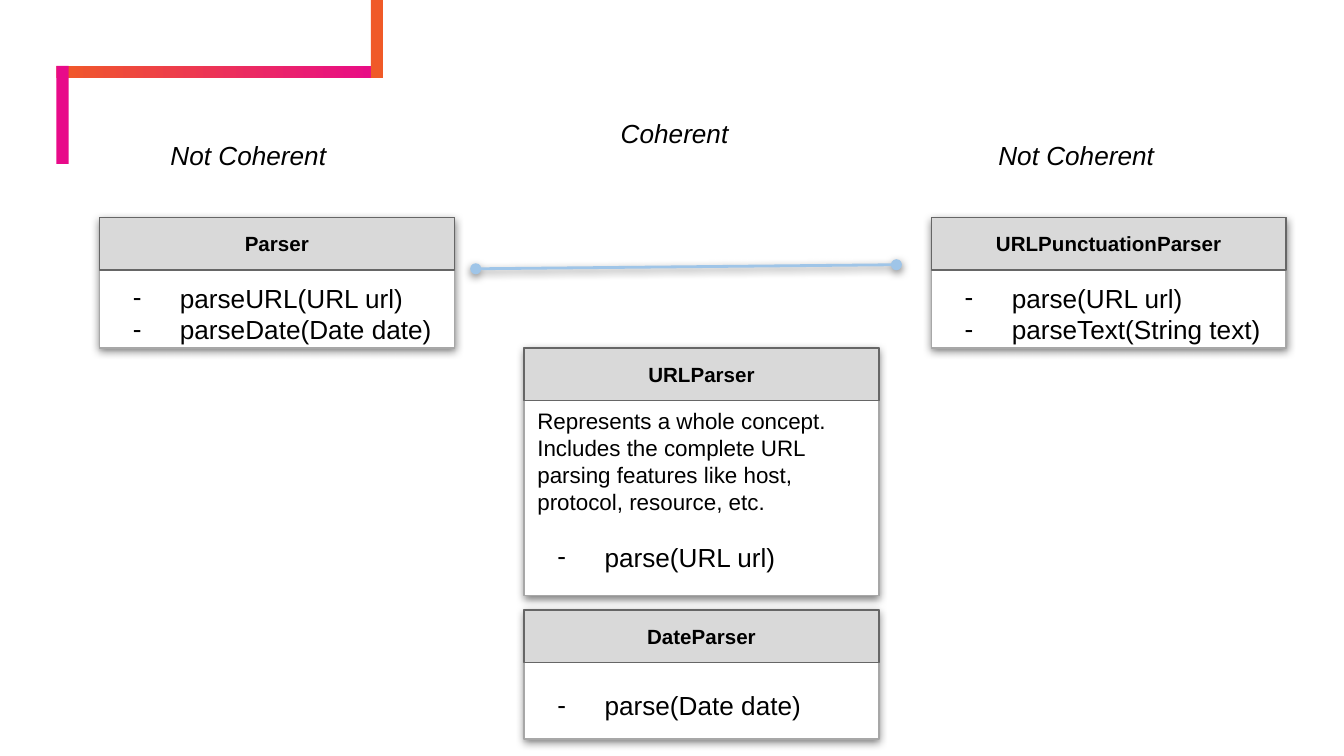
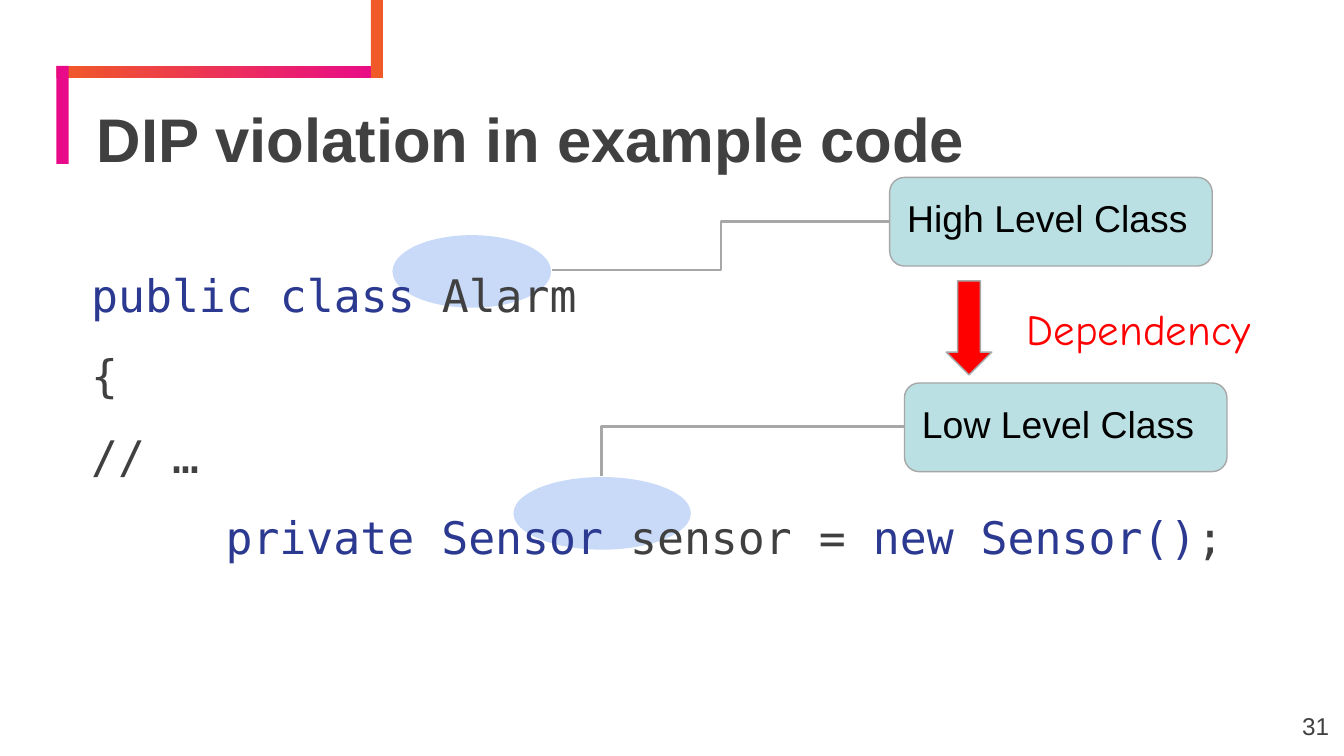
from lxml import etree
from pptx import Presentation
from pptx import util as u
from pptx.dml.color import RGBColor
from pptx.enum import shapes as kinds, text as t
from pptx.oxml.ns import qn

PX = 9144  # 100 px to the inch

WHITE = RGBColor(0xFF, 0xFF, 0xFF)
BLACK = RGBColor(0x00, 0x00, 0x00)
DARK = RGBColor(0x40, 0x40, 0x40)
GREY = RGBColor(0xA7, 0xA7, 0xA7)
EDGE = RGBColor(0x66, 0x66, 0x66)
HEAD = RGBColor(0xD9, 0xD9, 0xD9)
ORANGE = RGBColor(0xF0, 0x5A, 0x28)
PINK = RGBColor(0xE8, 0x0A, 0x89)
SKY = RGBColor(0x9F, 0xC5, 0xE8)
PALE = RGBColor(0xC9, 0xDA, 0xF8)
TEAL = RGBColor(0xBB, 0xE0, 0xE3)
NAVY = RGBColor(0x2B, 0x39, 0x90)
RED = RGBColor(0xFF, 0x00, 0x00)

SANS, MONO, COMIC = "Arial", "DejaVu Sans Mono", "Comic Neue"
KIND, LINK = kinds.MSO_SHAPE, kinds.MSO_CONNECTOR
TOP, BOTTOM = t.MSO_ANCHOR.TOP, t.MSO_ANCHOR.BOTTOM
LEFT, MID, RIGHT = t.PP_ALIGN.LEFT, t.PP_ALIGN.CENTER, t.PP_ALIGN.RIGHT


def px(*vals):
    return [u.Emu(v * PX) for v in vals]


def node(parent, tag, **attrs):
    return etree.SubElement(parent, qn(tag), attrs)


def shade(shape, deep=False):
    """Set the effect list: a soft drop shadow if deep, else none."""
    fx = node(shape.element.spPr, "a:effectLst")
    if deep:
        drop = node(fx, "a:outerShdw", blurRad="57150", dist="19050",
                    dir="5400000", algn="bl", rotWithShape="0")
        node(node(drop, "a:srgbClr", val=str(BLACK)), "a:alpha", val="50000")


def block(shapes, kind, at, fill, line=None, deep=False):
    shape = shapes.add_shape(kind, *px(*at))
    shape.fill.solid()
    shape.fill.fore_color.rgb = fill
    if line is None:
        shape.line.fill.background()
    else:
        shape.line.color.rgb = line
        shape.line.width = u.Pt(0.75)
    shade(shape, deep)
    return shape


def frame(shape, ins=(10, 10, 10, 10), anchor=TOP):
    """Prepare the text frame; ins is left, top, right, bottom."""
    body = shape.text_frame
    body.word_wrap = True
    body.auto_size = t.MSO_AUTO_SIZE.NONE
    body.vertical_anchor = anchor
    (body.margin_left, body.margin_top,
     body.margin_right, body.margin_bottom) = px(*ins)
    return body


def write(body, words, size=14, color=BLACK, font=SANS, bold=False,
          italic=False, align=LEFT, gap=None, before=0, left=0, dash=False):
    """Add a paragraph; words is a string or (string, colour) runs."""
    para = body.paragraphs[0]
    if para.runs:
        para = body.add_paragraph()
    para.alignment = align
    para.line_spacing = gap
    para.space_before = u.Pt(before)
    props = para._p.get_or_add_pPr()
    props.set("marL", str(left * PX))
    props.set("indent", str(-35 * PX if dash else 0))
    if dash:
        node(node(props, "a:buClr"), "a:srgbClr", val=str(BLACK))
        node(props, "a:buFont", typeface=SANS)
        node(props, "a:buChar", char="-")
    else:
        node(props, "a:buNone")
    for word, tint in [(words, color)] if isinstance(words, str) else words:
        run = para.add_run()
        run.text = word
        run.font.name = font
        run.font.size = u.Pt(size)
        run.font.bold = bold
        run.font.italic = italic
        run.font.color.rgb = tint


def label(slide, words, at, ins=(10, 10, 10, 10), **form):
    write(frame(slide.shapes.add_textbox(*px(*at)), ins), words, **form)


def link(slide, kind, ends, color, deep=False):
    line = slide.shapes.add_connector(kind, *px(*ends))
    line.line.color.rgb = color
    line.line.width = u.Pt(1.5)
    shade(line, deep)
    return line


def card(slide, name, x, y, high, top, calls, note=None):
    """Class box: a name band over a body whose text starts at top."""
    group = slide.shapes.add_group_shape().shapes
    body = frame(block(group, KIND.RECTANGLE, (x, y, 264, high), WHITE,
                       GREY, deep=True), (10, top, 10, 0))
    if note:
        write(body, note, size=12)
    for i, call in enumerate(calls):
        write(body, call, left=50, dash=True,
              before=14 if note and i == 0 else 0)
    band = block(group, KIND.RECTANGLE, (x, y, 264, 39), HEAD, EDGE)
    write(frame(band), name, size=11, bold=True, align=MID)


def level(slide, words, x, y):
    box = block(slide.shapes, KIND.ROUNDED_RECTANGLE, (x, y, 240, 66),
                TEAL, GREY)
    write(frame(box), words, size=20)


def brand(deck, slide):
    """Draw the corner bands and move them to the master."""
    bar = block(slide.shapes, KIND.RECTANGLE, (42, 49, 243, 9), ORANGE)
    bar.fill.gradient()
    bar.fill.gradient_angle = 0
    for stop, tint in zip(bar.fill.gradient_stops, (ORANGE, PINK)):
        stop.color.rgb = tint
    bars = [bar,
            block(slide.shapes, KIND.RECTANGLE, (42, 49, 9, 73), PINK),
            block(slide.shapes, KIND.RECTANGLE, (276, 0, 9, 58), ORANGE)]
    for bar in bars:
        deck.slide_master.shapes.element.append(bar.element)


def classes(slide):
    card(slide, "Parser", 74, 162, 97, 48,
         ["parseURL(URL url)", "parseDate(Date date)"])
    line = link(slide, LINK.STRAIGHT, (354, 200, 667, 197), SKY, deep=True)
    stroke = line.element.spPr.find(qn("a:ln"))
    for end in ("a:headEnd", "a:tailEnd"):
        node(stroke, end, type="oval")
    for words, x, y, wide in (("Not Coherent", 117, 94, 160),
                              ("Coherent", 452, 77, 133),
                              ("Not Coherent", 733, 94, 160)):
        label(slide, words, (x, y, wide, 44), italic=True)
    card(slide, "URLPunctuationParser", 693, 162, 97, 48,
         ["parse(URL url)", "parseText(String text)"])
    card(slide, "DateParser", 390, 454, 96, 59, ["parse(Date date)"])
    card(slide, "URLParser", 390, 259, 184, 44, ["parse(URL url)"],
         note="Represents a whole concept. Includes the complete URL "
              "parsing features like host, protocol, resource, etc.")


def code(slide):
    label(slide, "31", (936, 519, 60, 43), (7, 10, 7, 10), size=13,
          color=DARK, align=RIGHT)
    title = slide.shapes.title
    title.left, title.top, title.width, title.height = px(67, 101, 902, 34)
    write(frame(title, (5, 4, 5, 4), BOTTOM), "DIP violation in example code",
          size=33, color=DARK, bold=True, gap=0.9)

    for at in ((382, 355, 132, 54), (292, 175, 118, 54)):
        block(slide.shapes, KIND.OVAL, at, PALE)
    body = frame(slide.shapes.add_textbox(*px(58, 169, 902, 101)))
    for words, left in (
            ([("public class ", NAVY), ("Alarm", DARK)], 0),
            ("{", 0),
            ("// …", 0),
            ([("private Sensor", NAVY), (" sensor = ", DARK),
              ("new Sensor()", NAVY), (";", DARK)], 100)):
        write(body, words, size=24, color=DARK, font=MONO, gap=1.5, left=left)

    level(slide, "High Level Class", 662, 132)
    link(slide, LINK.ELBOW, (411, 201, 662, 165), GREY)
    level(slide, "Low Level Class", 673, 285)
    bend = link(slide, LINK.ELBOW, (542, 223, 579, 449), GREY)
    bend.element.spPr.find(qn("a:prstGeom")).set("prst", "bentConnector2")
    bend.element.spPr.find(qn("a:xfrm")).set("rot", str(270 * 60000))
    block(slide.shapes, KIND.DOWN_ARROW, (704, 209, 34, 70), RED, GREY)
    label(slide, "Dependency", (754, 215, 192, 59), size=23, color=RED,
          font=COMIC)


def main():
    deck = Presentation()
    deck.slide_width, deck.slide_height = u.Emu(1000 * PX), u.Emu(5143500)
    bare, titled = deck.slide_layouts[6], deck.slide_layouts[5]
    first = deck.slides.add_slide(bare)
    brand(deck, first)
    classes(first)
    code(deck.slides.add_slide(titled))
    deck.save("out.pptx")


if __name__ == "__main__":
    main()
